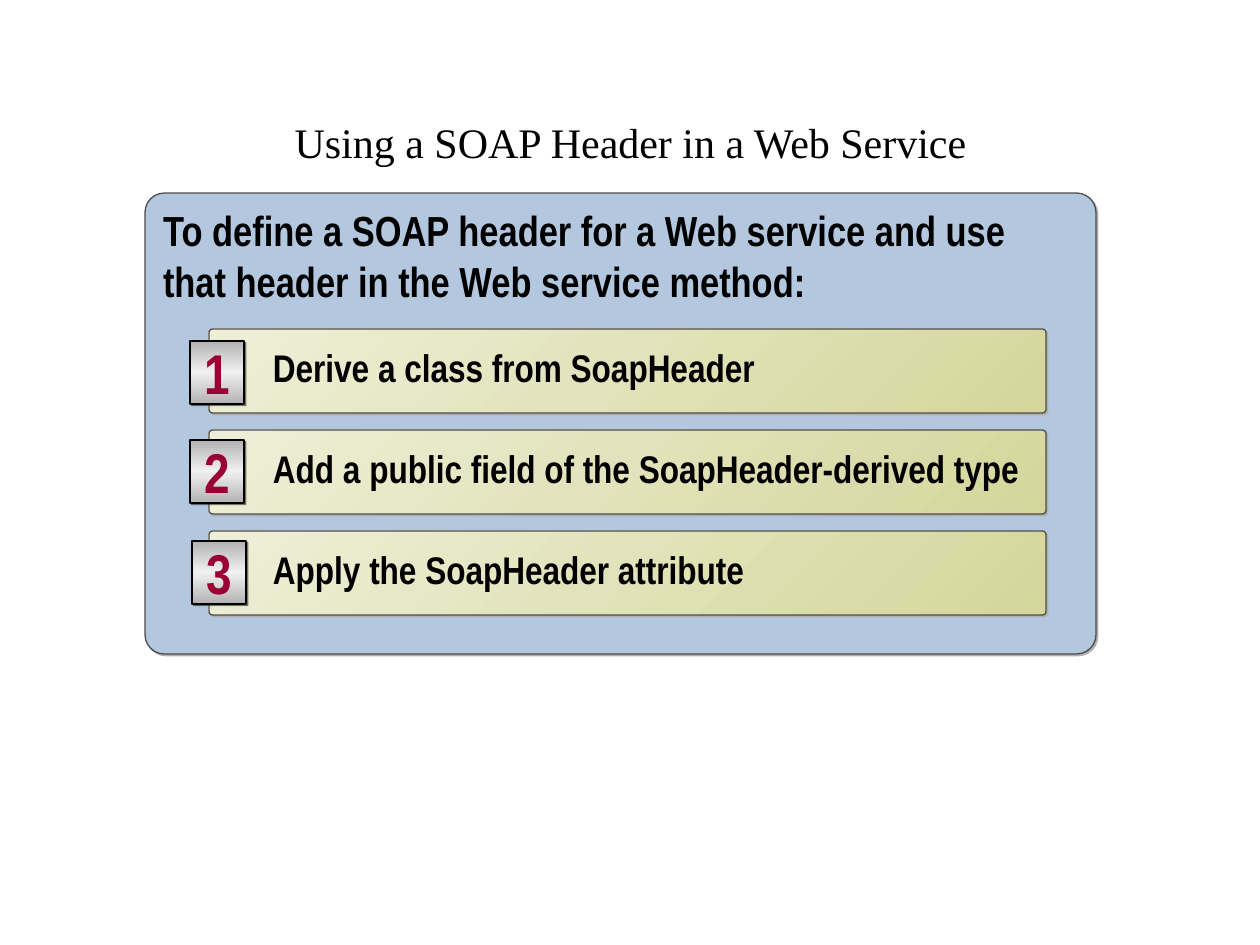
import pptx
import pptx.dml.color
import pptx.enum.shapes
import pptx.enum.text
import pptx.oxml.ns
import pptx.util
from lxml import etree

RGBColor = pptx.dml.color.RGBColor
ALIGN = pptx.enum.text.PP_ALIGN
ANCHOR = pptx.enum.text.MSO_ANCHOR
SHAPE = pptx.enum.shapes.MSO_SHAPE

BLACK = RGBColor(0x00, 0x00, 0x00)
GRAY = RGBColor(0x4D, 0x4D, 0x4D)
SHADOW_GRAY = RGBColor(0xAF, 0xAF, 0xAF)
PANEL_BLUE = RGBColor(0xB3, 0xC8, 0xDF)
OLIVE = RGBColor(0xD5, 0xD6, 0x9C)
CREAM = RGBColor(0xEE, 0xEF, 0xD7)
SILVER = RGBColor(0xB2, 0xB2, 0xB2)
PALE_SILVER = RGBColor(0xF0, 0xF0, 0xF0)
CRIMSON = RGBColor(0x99, 0x00, 0x33)

HEADING_FONT = "Times New Roman"
BODY_FONT = "Arial Narrow"
CORNER = 0.042
PIXELS_PER_INCH = 126

STEPS = [
    ("Derive a class from SoapHeader", (-19, 12)),
    ("Add a public field of the SoapHeader-derived type", (-19, 10)),
    ("Apply the SoapHeader attribute", (-17, 10)),
]


def px(length):
    """Turn a length in px into EMU."""
    return pptx.util.Emu(round(length * 914400 / PIXELS_PER_INCH))


def add_child(parent, tag, **attributes):
    """Append a DrawingML element to a parent."""
    child = etree.SubElement(parent, pptx.oxml.ns.qn(tag))
    for name, value in attributes.items():
        child.set(name, str(value))
    return child


def set_gradient(shape, colors, angle):
    """Fill a shape with evenly spaced gradient colours."""
    shape.fill.gradient()
    shape.fill.gradient_angle = angle
    stops = shape._element.spPr.find(".//" + pptx.oxml.ns.qn("a:gsLst"))
    for stop in list(stops):
        stops.remove(stop)
    for index, color in enumerate(colors):
        position = index * 100000 // (len(colors) - 1)
        stop = add_child(stops, "a:gs", pos=position)
        add_child(stop, "a:srgbClr", val=color)


def set_shadow(shape, color, opacity):
    """Give a shape a sharp shadow to its lower right."""
    shape.shadow.inherit = False
    effects = shape._element.spPr.find(pptx.oxml.ns.qn("a:effectLst"))
    shadow = add_child(effects, "a:outerShdw", blurRad=0, dist=pptx.util.Pt(1.4),
                       dir=45 * 60000, algn="ctr", rotWithShape=0)
    shadow_color = add_child(shadow, "a:srgbClr", val=color)
    add_child(shadow_color, "a:alpha", val=opacity * 1000)


def add_box(slide, kind, box, line_color):
    """Add an outlined preset shape in a px box."""
    shape = slide.shapes.add_shape(kind, *map(px, box))
    if kind == SHAPE.ROUNDED_RECTANGLE:
        shape.adjustments[0] = CORNER
    shape.line.color.rgb = line_color
    shape.line.width = pptx.util.Pt(0.75)
    return shape


def write_text(shape, text, size, color=BLACK, font=BODY_FONT, bold=True,
               align=ALIGN.LEFT, anchor=ANCHOR.MIDDLE):
    """Write one formatted run into a shape and return its paragraph."""
    frame = shape.text_frame
    frame.word_wrap = True
    frame.auto_size = pptx.enum.text.MSO_AUTO_SIZE.NONE
    frame.vertical_anchor = anchor
    paragraph = frame.paragraphs[0]
    paragraph.alignment = align
    run = paragraph.add_run()
    run.text = text
    run.font.name = font
    run.font.size = pptx.util.Pt(size)
    run.font.bold = bold
    run.font.color.rgb = color
    return paragraph


def fill_title(slide, box, text):
    """Place and fill the title placeholder."""
    title = slide.shapes.title
    title.left, title.top, title.width, title.height = map(px, box)
    write_text(title, text, 24, font=HEADING_FONT, bold=False, align=ALIGN.CENTER)


def add_badge(slide, box, number):
    """Add a silver square with a step number."""
    badge = add_box(slide, SHAPE.RECTANGLE, box, BLACK)
    set_gradient(badge, [SILVER, PALE_SILVER, SILVER], 270)
    set_shadow(badge, BLACK, 50)
    write_text(badge, str(number), 32, color=CRIMSON, align=ALIGN.CENTER)
    badge.text_frame.word_wrap = False


def add_step(slide, box, number, text, badge_offset):
    """Add a step bar with its numbered badge."""
    left, top, width, height = box
    bar = add_box(slide, SHAPE.ROUNDED_RECTANGLE, box, GRAY)
    set_gradient(bar, [OLIVE, CREAM], 135)
    set_shadow(bar, SHADOW_GRAY, 100)
    paragraph = write_text(bar, text, 22)
    paragraph.line_spacing = 0.85
    bar.text_frame.margin_left = px(63)
    shift_x, shift_y = badge_offset
    add_badge(slide, (left + shift_x, top + shift_y, 54, 63), number)


def add_panel(slide, box, introduction, steps):
    """Add the blue panel with its introduction and steps."""
    left, top, width, height = box
    panel = add_box(slide, SHAPE.ROUNDED_RECTANGLE, box, GRAY)
    panel.fill.solid()
    panel.fill.fore_color.rgb = PANEL_BLUE
    set_shadow(panel, SHADOW_GRAY, 100)
    write_text(panel, introduction, 24, anchor=ANCHOR.TOP)
    for index, (text, badge_offset) in enumerate(steps):
        bar_box = (left + 64, top + 136 + index * 101, width - 114, 84)
        add_step(slide, bar_box, index + 1, text, badge_offset)


def main():
    """Build and save the presentation."""
    presentation = pptx.Presentation()
    presentation.slide_width = px(1260)
    presentation.slide_height = px(945)
    slide = presentation.slides.add_slide(presentation.slide_layouts[5])
    fill_title(slide, (95, 84, 1071, 116), "Using a SOAP Header in a Web Service")
    add_panel(
        slide,
        (145, 193, 951, 461),
        "To define a SOAP header for a Web service and use that header "
        "in the Web service method:",
        STEPS,
    )
    presentation.save("out.pptx")


if __name__ == "__main__":
    main()
